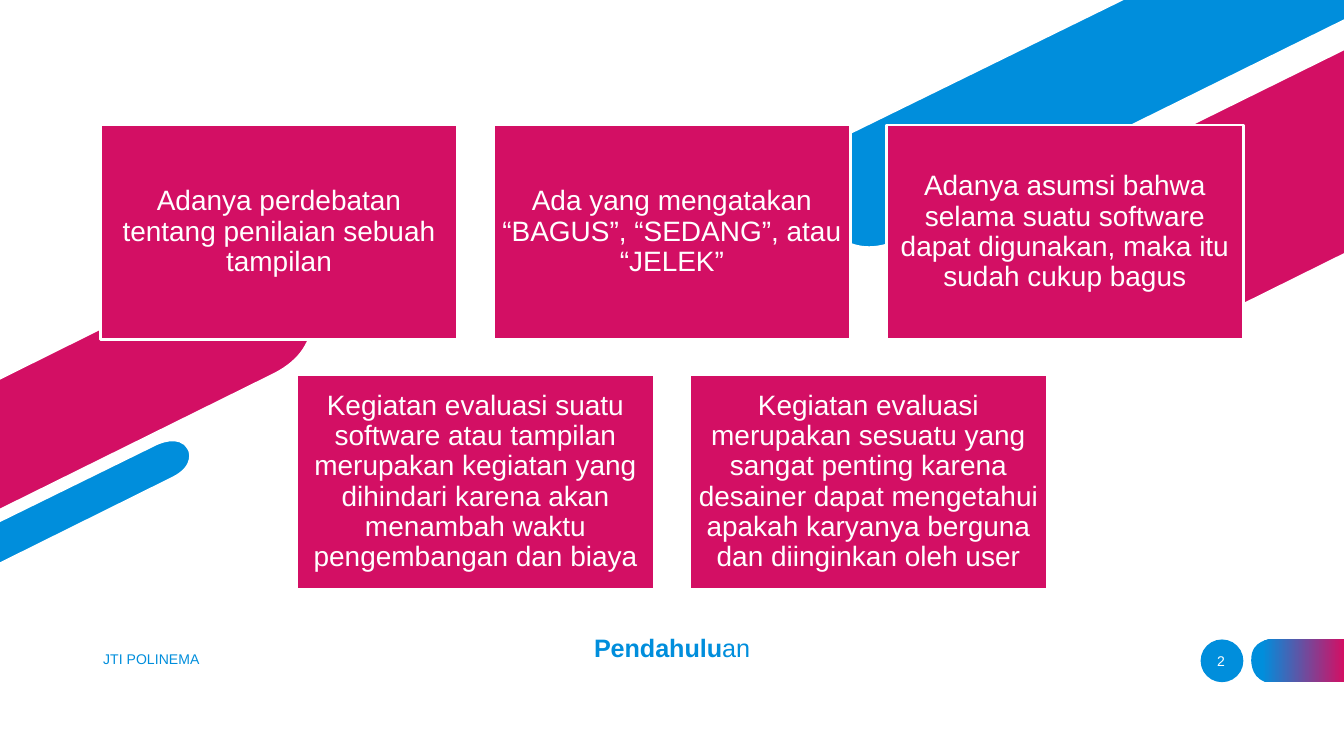
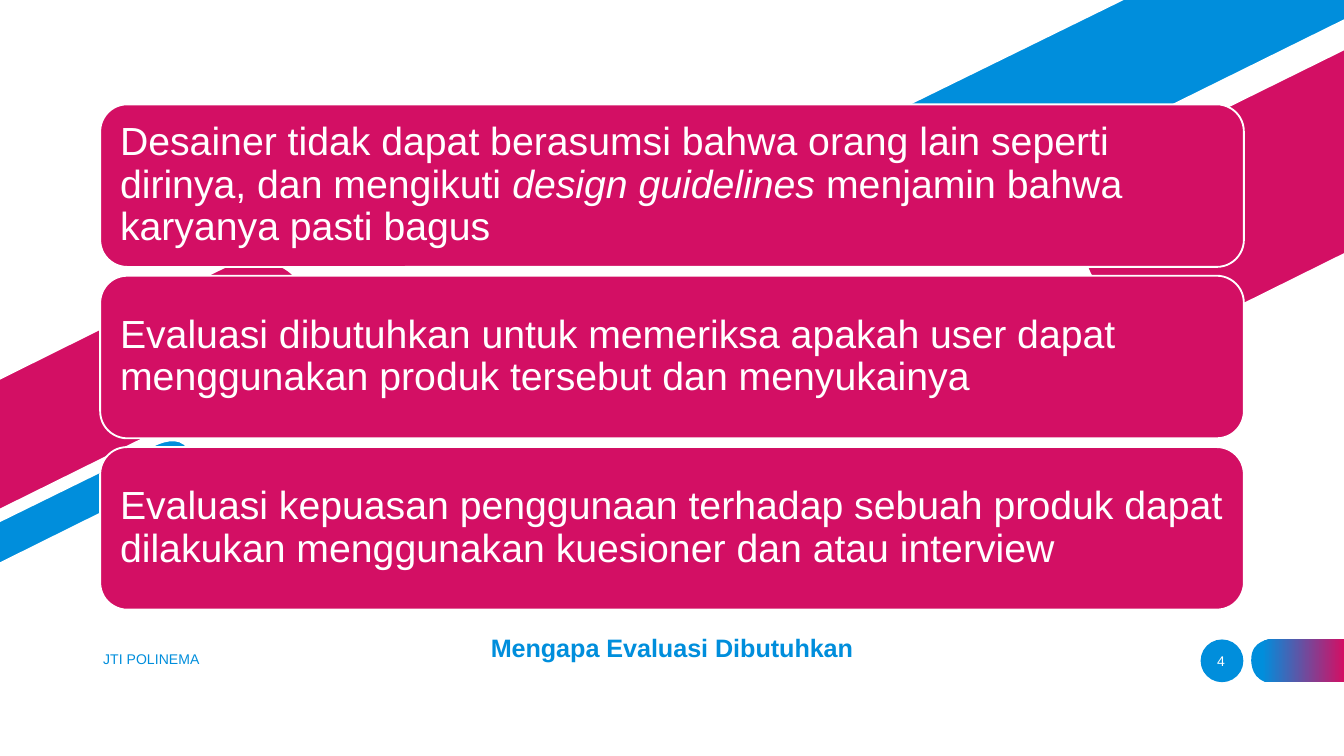
from dataclasses import dataclass
from math import hypot

from lxml import etree
from pptx import Presentation
from pptx.dml.color import RGBColor
from pptx.enum.shapes import MSO_SHAPE
from pptx.enum.text import MSO_ANCHOR, PP_ALIGN
from pptx.oxml.ns import qn
from pptx.util import Pt

RECT, ROUNDED, OVAL = MSO_SHAPE.RECTANGLE, MSO_SHAPE.ROUNDED_RECTANGLE, MSO_SHAPE.OVAL
TOP, MIDDLE = MSO_ANCHOR.TOP, MSO_ANCHOR.MIDDLE
LEFT, CENTER = PP_ALIGN.LEFT, PP_ALIGN.CENTER


@dataclass(frozen=True)
class Theme:
    blue: RGBColor = RGBColor(0x00, 0x8E, 0xDC)
    magenta: RGBColor = RGBColor(0xD3, 0x0F, 0x64)
    white: RGBColor = RGBColor(0xFF, 0xFF, 0xFF)
    font: str = "Arial"
    footer: float = 7.5
    title: float = 13.5
    card: float = 15
    bar: float = 21


THEME = Theme()
WIDTH, HEIGHT = 720, 405
UNITS = 100  # freeform units per point
EDGE = 1  # half the width of a band's white edge

# Outlines: start, bend 1 (from, control, to), bend 2 (from, control, to), end
RIGHT_MAGENTA = [(720, 25.9), (606.2, 82.1), (563, 103.7), (583.9, 147.6),
                 (585.4, 149), (606.2, 193), (650.2, 171.4), (720, 136.8)]
RIGHT_BLUE = [(599.8, 0), (455.8, 70.6), (424.1, 86.4), (437.8, 114.5),
              (438.5, 115.9), (452.2, 144), (483.8, 128.2), (720, 11.5)]
LEFT_MAGENTA = [(0, 202.3), (118.8, 143.3), (150.5, 128.2), (164.2, 156.2),
                (164.9, 157), (178.6, 185), (146.9, 200.9), (0, 273.6)]
LEFT_BLUE = [(0, 278.6), (83.5, 237.6), (96.5, 231.1), (101.3, 240.3),
             (101.7, 240.9), (105.8, 249.8), (92.9, 256.3), (0, 302.4)]
FOOTER_TAB = [(720, 342.5), (681.1, 342.5), (670.3, 342.5), (670.3, 353.3),
              (670.3, 354.2), (670.3, 365.6), (681.1, 365.6), (720, 365.6)]
BANDS = [  # outline, colour, closing corners
    (RIGHT_MAGENTA, THEME.magenta, []),
    (RIGHT_BLUE, THEME.blue, [(WIDTH, 0)]),
    (LEFT_MAGENTA, THEME.magenta, []),
    (LEFT_BLUE, THEME.blue, []),
]


# Geometry: a segment is [end] for a line or [control, control, end] for a curve
def forward(n):
    return [[n[1]], [n[1], n[2], n[3]], [n[4]], [n[4], n[5], n[6]], [n[7]]]


def backward(n):
    return [[n[6]], [n[5], n[4], n[4]], [n[3]], [n[2], n[1], n[1]], [n[0]]]


def normal(a, b):
    dx, dy = b[0] - a[0], b[1] - a[1]
    length = hypot(dx, dy)
    return -dy / length, dx / length


def offset(nodes, distance):
    """Move an open outline sideways, its ends staying on the slide's edge."""
    normals = [normal(a, b) for a, b in zip(nodes, nodes[1:])]
    moved = []
    for i, (x, y) in enumerate(nodes):
        if 0 < i < len(nodes) - 1:
            (ax, ay), (bx, by) = normals[i - 1:i + 1]
            k = distance / (1 + ax * bx + ay * by)
            moved.append((x + k * (ax + bx), y + k * (ay + by)))
        else:
            nx, ny = normals[min(i, len(normals) - 1)]
            moved.append((x, y + distance / ny) if x in (0, WIDTH) else (x + distance / nx, y))
    return moved


def circle(cx, cy, radius):
    """A contour of four quarter curves."""
    k = 0.55
    quarter = [(k, 1), (1, k), (1, 0)]
    segments = []
    for _ in range(4):
        segments.append([(cx + radius * x, cy + radius * y) for x, y in quarter])
        quarter = [(y, -x) for x, y in quarter]
    return (cx, cy + radius), segments


# Elements
def add_outline(slide, contours, color=None):
    """Draw closed contours, each a start point and its segments."""
    ends = [p for start, segments in contours for p in [start, *(s[-1] for s in segments)]]
    left, top = (min(values) for values in zip(*ends))
    builder = None
    for start, segments in contours:
        x, y = (v * UNITS for v in start)
        if builder is None:
            builder = slide.shapes.build_freeform(x, y, scale=Pt(1 / UNITS))
        else:
            builder.move_to(x, y)
        builder.add_line_segments([(s[-1][0] * UNITS, s[-1][1] * UNITS) for s in segments])
    sp = builder.convert_to_shape()

    # Turn the lines of curved segments into curves
    lines = list(sp.element.iter(qn("a:lnTo")))
    for line, segment in zip(lines, [s for _, segments in contours for s in segments]):
        if len(segment) == 3:
            curve = etree.Element(qn("a:cubicBezTo"))
            for x, y in segment:
                etree.SubElement(curve, qn("a:pt"), x=str(round((x - left) * UNITS)),
                                 y=str(round((y - top) * UNITS)))
            line.getparent().replace(line, curve)

    sp.shadow.inherit = False
    sp.line.fill.background()
    if color is not None:
        sp.fill.solid()
        sp.fill.fore_color.rgb = color
    return sp


def add_band(slide, nodes, color, corners):
    add_outline(slide, [(nodes[0], forward(nodes) + [[c] for c in corners])], color)
    outer, inner = offset(nodes, EDGE), offset(nodes, -EDGE)
    edge = forward(outer) + [[inner[-1]]] + backward(inner)
    add_outline(slide, [(outer[0], edge)], THEME.white)


def add_tab(slide):
    sp = add_outline(slide, [(FOOTER_TAB[0], forward(FOOTER_TAB))])
    sp.fill.gradient()
    sp.fill.gradient_angle = 0
    stops = [(0.12, THEME.blue), (1, THEME.magenta)]
    for stop, (position, color) in zip(sp.fill.gradient_stops, stops):
        stop.position = position
        stop.color.rgb = color


def write(sp, runs, size, color, align=LEFT, anchor=MIDDLE, inset=None, spacing=None):
    """Fill a shape with one paragraph of (text, font attributes) runs."""
    tf = sp.text_frame
    tf.word_wrap = True
    tf.vertical_anchor = anchor
    if inset is not None:
        for side in ("left", "top", "right", "bottom"):
            setattr(tf, f"margin_{side}", Pt(inset))
    p = tf.paragraphs[0]
    p.alignment = align
    p.line_spacing = spacing
    for text, extra in runs:
        r = p.add_run()
        r.text = text
        r.font.color.rgb = color
        for name, value in {"name": THEME.font, "size": Pt(size), **extra}.items():
            setattr(r.font, name, value)


def add_text(slide, box, runs, size, color, **style):
    sp = slide.shapes.add_textbox(*map(Pt, box))
    write(sp, runs, size, color, **style)


def add_panel(slide, kind, box, fill, line=None):
    sp = slide.shapes.add_shape(kind, *map(Pt, box))
    sp.shadow.inherit = False
    sp.fill.solid()
    sp.fill.fore_color.rgb = fill
    if line:
        sp.line.color.rgb = THEME.white
        sp.line.width = Pt(line)
    else:
        sp.line.fill.background()
    return sp


def add_cards(slide, rows):
    """Rows of equal cards, each row centred on the slide."""
    w, h, gap, top = 191.4, 114.8, 19.1, 67
    for i, row in enumerate(rows):
        left = (WIDTH - len(row) * w - (len(row) - 1) * gap) / 2
        for j, text in enumerate(row):
            box = (left + j * (w + gap), top + i * (h + gap), w, h)
            sp = add_panel(slide, RECT, box, THEME.magenta, line=1.5)
            write(sp, [(text, {})], THEME.card, THEME.white,
                  align=CENTER, inset=4.3, spacing=0.9)


def add_bars(slide, bars):
    """Full-width rounded bars, stacked."""
    w, h, pitch, top = 612.7, 87.1, 91.8, 55.9
    for i, runs in enumerate(bars):
        box = ((WIDTH - w) / 2, top + i * pitch, w, h)
        sp = add_panel(slide, ROUNDED, box, THEME.magenta, line=1)
        write(sp, runs, THEME.bar, THEME.white, inset=6.4, spacing=0.9)


def add_base(prs, number, title, ring=False):
    """A slide with bands, footer and title."""
    slide = prs.slides.add_slide(prs.slide_layouts[6])
    add_panel(slide, OVAL, (643.2, 342.6, 22.9, 22.9), THEME.blue)
    add_tab(slide)
    if ring:
        add_outline(slide, [circle(543, 141.2, r) for r in (22.3, 20.2)], THEME.white)
    for band in BANDS:
        add_band(slide, *band)
    add_text(slide, (48.2, 342.4, 141.1, 21.6), [("JTI POLINEMA", {})],
             THEME.footer, THEME.blue)
    add_text(slide, (637.9, 343.2, 32.4, 21.6), [(number, {})],
             THEME.footer, THEME.white, align=CENTER)
    add_text(slide, (142.6, 337, 434.9, 50.4), title, THEME.title, THEME.blue,
             align=CENTER, anchor=TOP, spacing=0.9)
    return slide


def main():
    prs = Presentation()
    prs.slide_width, prs.slide_height = Pt(WIDTH), Pt(HEIGHT)

    # Introduction
    slide = add_base(prs, "2", [("Pendahulu", {"bold": True}), ("an", {"bold": False})])
    add_cards(slide, [
        ["Adanya perdebatan tentang penilaian sebuah tampilan",
         "Ada yang mengatakan “BAGUS”, “SEDANG”, atau “JELEK”",
         "Adanya asumsi bahwa selama suatu software dapat digunakan, "
         "maka itu sudah cukup bagus"],
        ["Kegiatan evaluasi suatu software atau tampilan merupakan kegiatan yang "
         "dihindari karena akan menambah waktu pengembangan dan biaya",
         "Kegiatan evaluasi merupakan sesuatu yang sangat penting karena desainer "
         "dapat mengetahui apakah karyanya berguna dan diinginkan oleh user"],
    ])

    # Why evaluation is needed
    slide = add_base(prs, "4", [("Mengapa Evaluasi Dibutuhkan", {"bold": True})], ring=True)
    add_bars(slide, [
        [("Desainer tidak dapat berasumsi bahwa orang lain seperti dirinya, "
          "dan mengikuti ", {}),
         ("design guidelines", {"italic": True}),
         (" menjamin bahwa karyanya pasti bagus", {})],
        [("Evaluasi dibutuhkan untuk memeriksa apakah user dapat menggunakan "
          "produk tersebut dan menyukainya", {})],
        [("Evaluasi kepuasan penggunaan terhadap sebuah produk dapat dilakukan "
          "menggunakan kuesioner dan atau interview", {})],
    ])

    prs.save("out.pptx")


if __name__ == "__main__":
    main()
